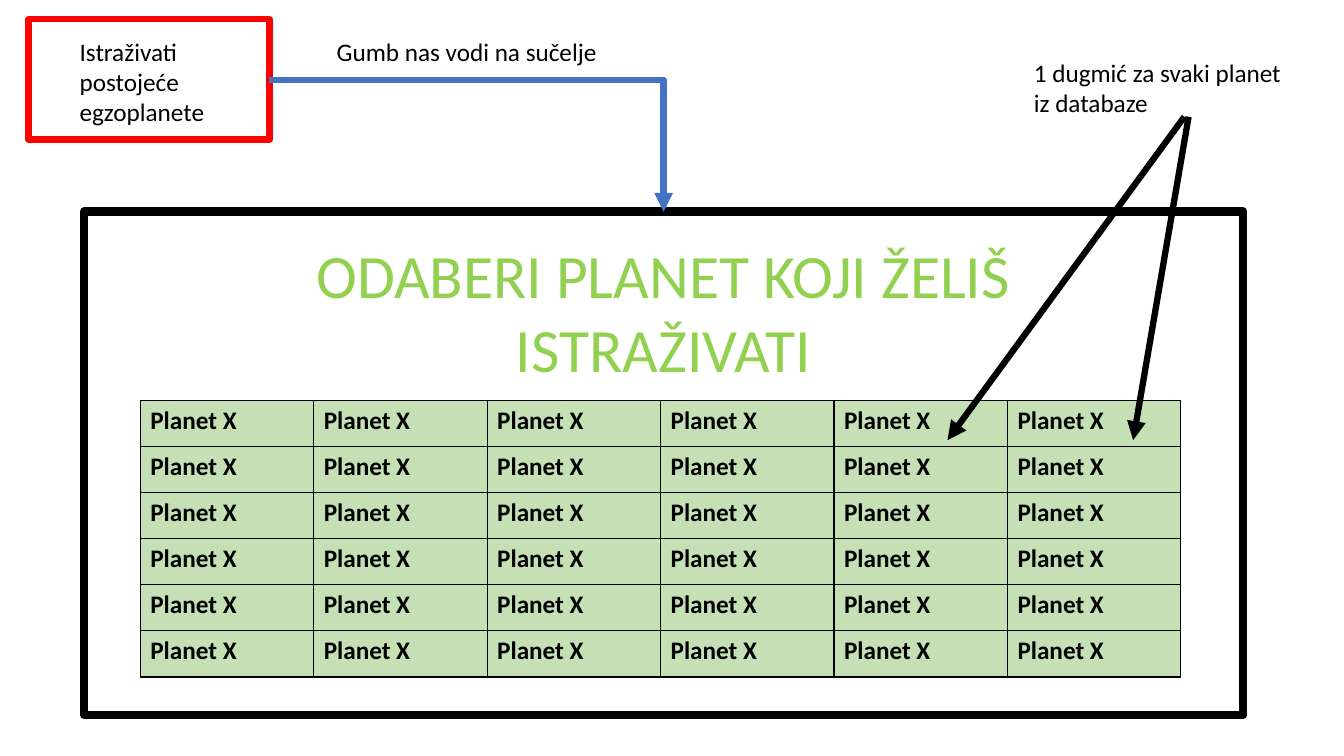
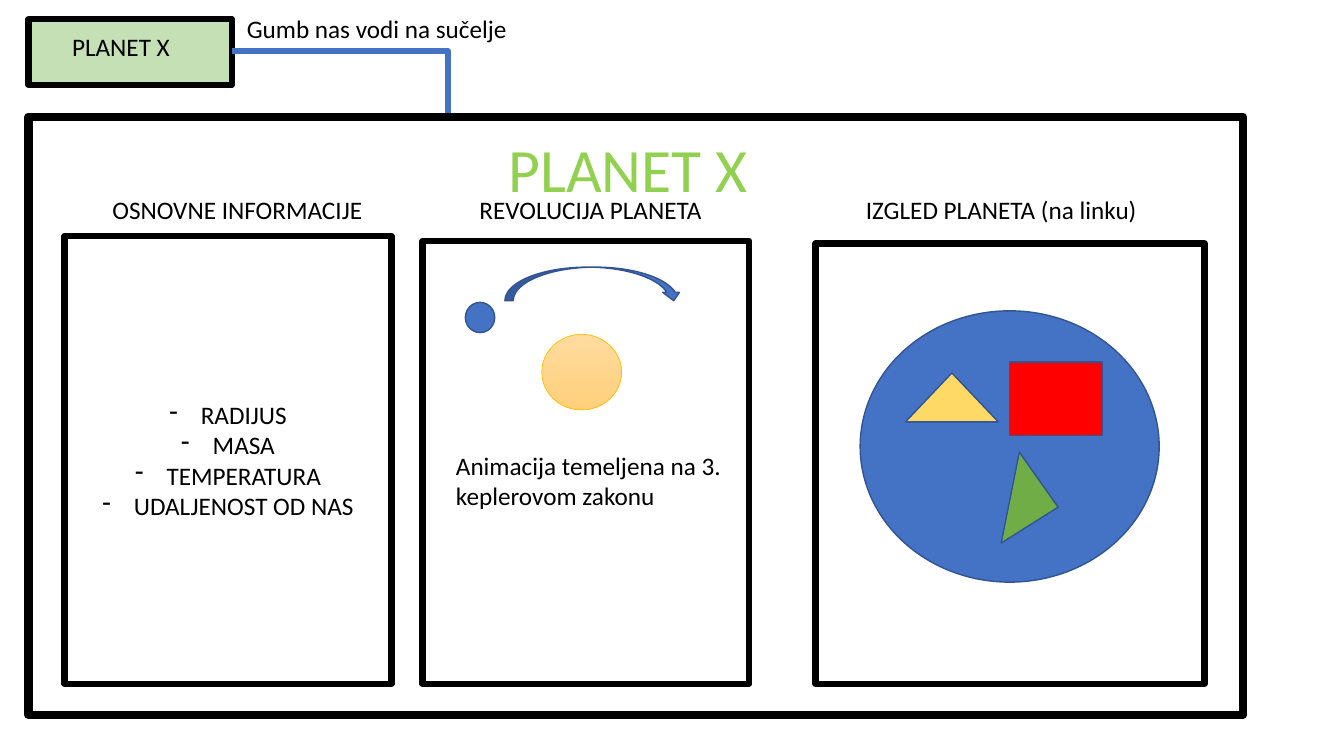
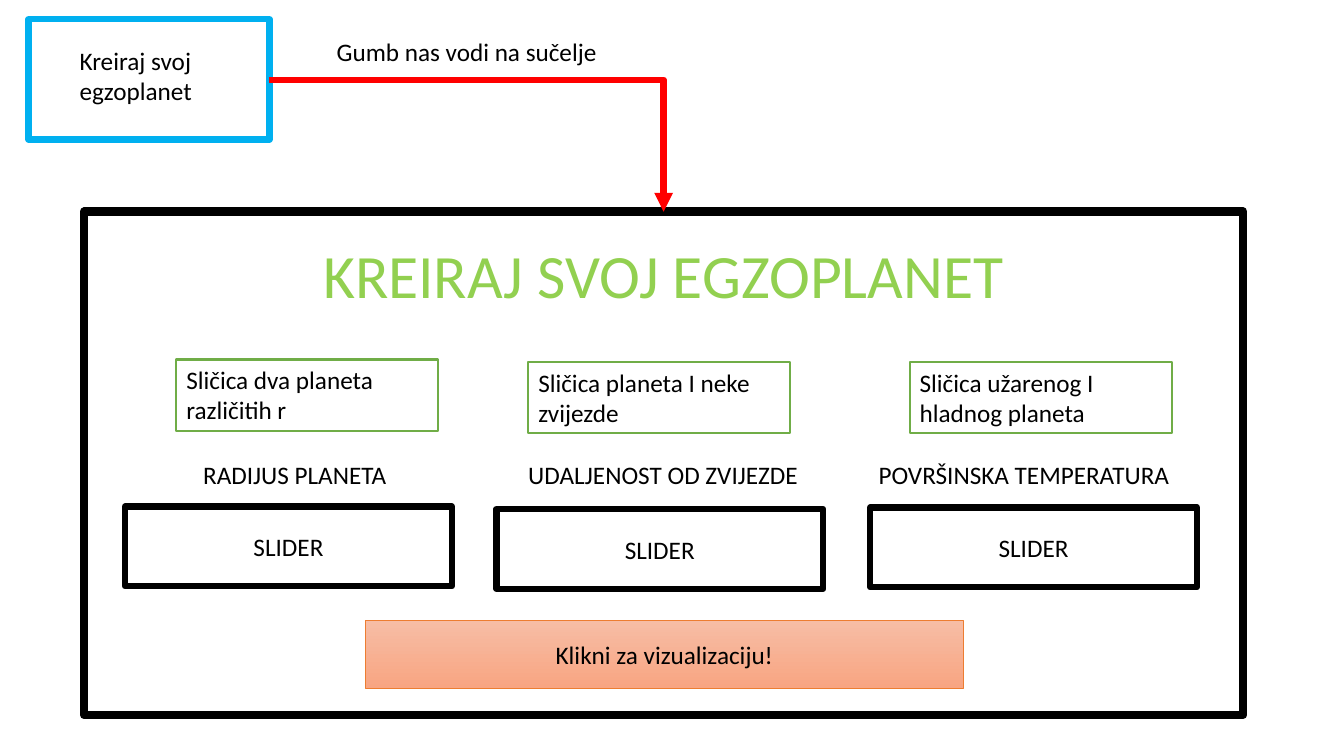
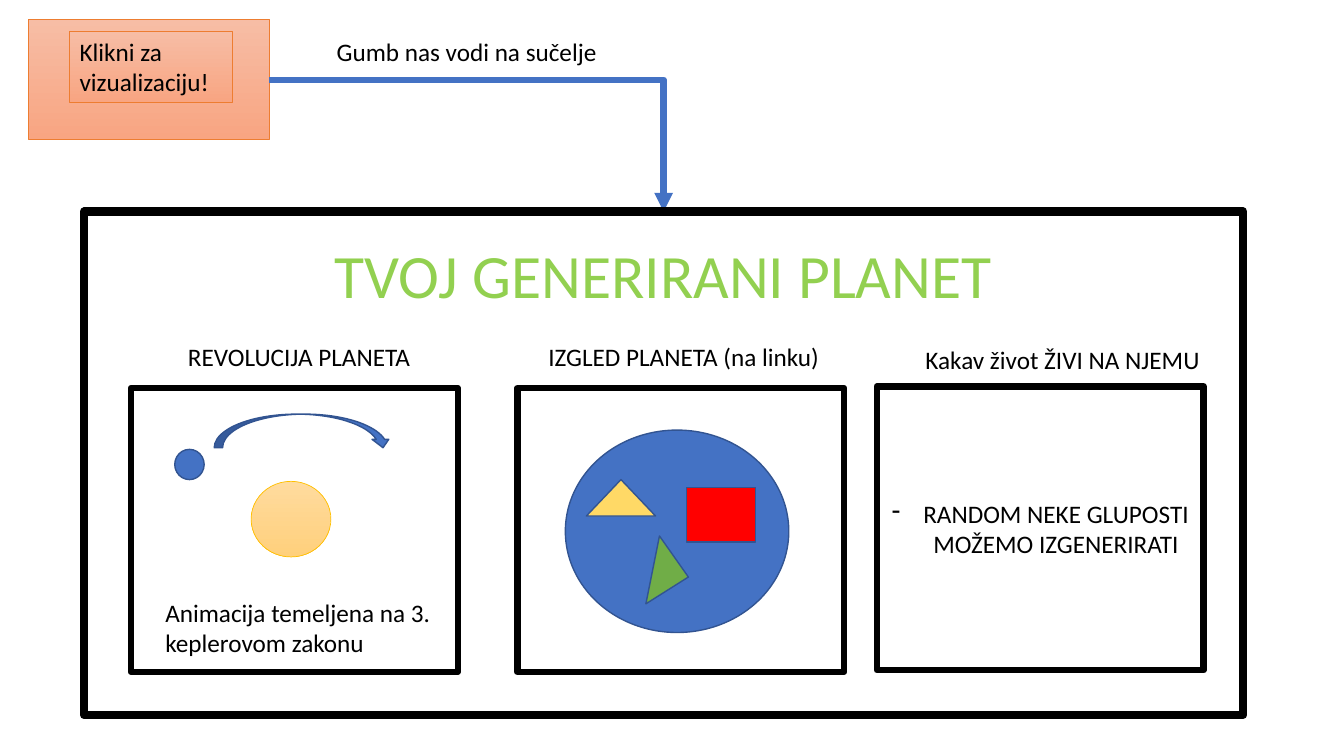
from lxml.etree import SubElement
from pptx import Presentation
from pptx.dml.color import RGBColor
from pptx.enum.shapes import MSO_CONNECTOR, MSO_SHAPE
from pptx.enum.text import MSO_ANCHOR, PP_ALIGN
from pptx.oxml.ns import qn
from pptx.util import Inches, Pt

BLACK, WHITE, RED = "000000", "FFFFFF", "FF0000"
BLUE, NAVY, CYAN = "4472C4", "325491", "00B0F0"
LIME, GREEN, PALE_GREEN = "92D050", "70AD47", "C5E0B4"
YELLOW, GOLD, ORANGE = "FFD966", "FFC000", "ED7D31"
SUNLIGHT = ("FFDB9E", "FFD07C")
PEACH = ("F7BDA5", "F8A582")

COLUMNS, ROWS = 160, 90
PANEL = (10, 25.2, 138, 59.9)
BUTTON = (3.4, 2.3, 28.7, 14.3)
TITLE = (21, 27.6, 116, 10.1)
CAPTION = (38.9, 3.7, 36, 4.8)


def rgb(color):
    return RGBColor.from_string(color)


class Wireframe:
    font, body_size, title_size = "Calibri", 18, 44
    thick, frame, thin = 4.5, 6, 1

    def __init__(self):
        self.deck = Presentation()
        self.deck.slide_width, self.deck.slide_height = Inches(13.33), Inches(7.5)
        self.shapes = None

    def new_slide(self):
        self.shapes = self.deck.slides.add_slide(self.deck.slide_layouts[6]).shapes

    def x(self, columns):
        return round(self.deck.slide_width * columns / COLUMNS)

    def y(self, rows):
        return round(self.deck.slide_height * rows / ROWS)

    def place(self, area):
        left, top, width, height = area
        return self.x(left), self.y(top), self.x(width), self.y(height)

    def set_text(self, frame, lines, centered=False, size=None, color=BLACK,
                 bold=False, dashed=False):
        frame.word_wrap = True
        for index, line in enumerate(lines.split("\n")):
            paragraph = frame.add_paragraph() if index else frame.paragraphs[0]
            paragraph.text = line
            paragraph.alignment = PP_ALIGN.CENTER if centered else PP_ALIGN.LEFT
            if dashed:
                properties = paragraph._p.get_or_add_pPr()
                properties.set("marL", "285750")
                properties.set("indent", "-285750")
                SubElement(properties, qn("a:buChar"), char="-")
            font = paragraph.font
            font.name, font.size, font.bold = self.font, Pt(size or self.body_size), bold
            font.color.rgb = rgb(color)

    def text(self, area, words, **style):
        self.set_text(self.shapes.add_textbox(*self.place(area)).text_frame, words, **style)

    def title(self, words, area=TITLE):
        self.text(area, words, centered=True, size=self.title_size, color=LIME)

    def shape(self, area, fill=WHITE, line=NAVY, width=thin, kind=MSO_SHAPE.RECTANGLE,
              turn=0, words="", anchor=MSO_ANCHOR.MIDDLE, **style):
        shape = self.shapes.add_shape(kind, *self.place(area))
        shape.shadow.inherit = False
        shape.rotation = turn
        if isinstance(fill, tuple):
            shape.fill.gradient()
            shape.fill.gradient_angle = 270
            for stop, color in zip(shape.fill.gradient_stops, fill):
                stop.color.rgb = rgb(color)
        else:
            shape.fill.solid()
            shape.fill.fore_color.rgb = rgb(fill)
        shape.line.color.rgb = rgb(line)
        shape.line.width = Pt(width)
        if words:
            shape.text_frame.vertical_anchor = anchor
            self.set_text(shape.text_frame, words, **style)

    def box(self, area, words="", **style):
        self.shape(area, line=BLACK, width=self.thick, words=words, centered=True, **style)

    def panel(self, area=PANEL):
        self.shape(area, line=BLACK, width=self.frame)

    def arrow(self, start, end, color=BLACK, kind=MSO_CONNECTOR.STRAIGHT, preset=None):
        arrow = self.shapes.add_connector(
            kind, self.x(start[0]), self.y(start[1]), self.x(end[0]), self.y(end[1]))
        arrow.line.color.rgb = rgb(color)
        arrow.line.width = Pt(self.thick)
        SubElement(arrow.line._get_or_add_ln(), qn("a:tailEnd"), type="triangle")
        properties = arrow._element.spPr
        SubElement(properties, qn("a:effectLst"))
        if preset:
            properties.find(qn("a:prstGeom")).set("prst", preset)

    def lead(self, color=BLUE):
        self.arrow((32, 9.5), (79, 25.2), color, MSO_CONNECTOR.ELBOW, "bentConnector2")
        self.caption()

    def caption(self, area=CAPTION):
        self.text(area, "Gumb nas vodi na sučelje")

    def table(self, area, rows, columns, words):
        table = self.shapes.add_table(rows, columns, *self.place(area)).table
        table.first_row = table.horz_banding = False
        for cell in table.iter_cells():
            for side in ("a:lnL", "a:lnR", "a:lnT", "a:lnB"):
                border = SubElement(cell._tc.get_or_add_tcPr(), qn(side), w=str(Pt(self.thin)))
                SubElement(SubElement(border, qn("a:solidFill")), qn("a:srgbClr"), val=BLACK)
            cell.fill.solid()
            cell.fill.fore_color.rgb = rgb(PALE_GREEN)
            self.set_text(cell.text_frame, words, bold=True)

    def orbit(self, left, top):
        self.shape((left + 9.1, top + 3.8, 9.5, 9), SUNLIGHT, GOLD, 0.5, MSO_SHAPE.OVAL)
        self.shape((left, top, 3.5, 3.6), BLUE, kind=MSO_SHAPE.OVAL)
        self.shape((left + 4.7, top - 4.2, 21.1, 4), BLUE, kind=MSO_SHAPE.CURVED_DOWN_ARROW)
        self.text((left - 2.3, top + 17, 37.2, 8.5),
                  "Animacija temeljena na 3. keplerovom zakonu")

    def globe(self, area, yellow, green, red):
        width, height = area[2:]
        wedge = (width * 0.31, height * 0.18)
        self.shape(area, BLUE, kind=MSO_SHAPE.OVAL)
        self.shape((*yellow, *wedge), YELLOW, kind=MSO_SHAPE.ISOSCELES_TRIANGLE)
        self.shape((*green, *wedge), GREEN, kind=MSO_SHAPE.ISOSCELES_TRIANGLE, turn=101.3)
        self.shape((*red, width * 0.31, height * 0.27), RED)


def planet_choice(page):
    page.new_slide()
    page.panel()
    page.shape(BUTTON, line=RED, width=page.thick)
    page.text((8.3, 3.7, 19.4, 12.1), "Istraživati postojeće egzoplanete")
    page.lead()
    page.title("ODABERI PLANET KOJI ŽELIŠ ISTRAŽIVATI")
    page.table((16.7, 47.7, 123.9, 32.9), 6, 6, "Planet X")
    page.arrow((141, 13.9), (112.8, 52.4))
    page.arrow((141.5, 13.9), (134.9, 52.4))
    page.text((121.9, 6.2, 32.4, 8.5), "1 dugmić za svaki planet iz databaze")


def planet_details(page):
    page.new_slide()
    page.box((3.4, 2.3, 24.2, 7.8), fill=PALE_GREEN)
    page.text((7.4, 3.1, 16.4, 2.6), "PLANET X")
    page.arrow((27.6, 6.1), (79, 25.2), BLUE, MSO_CONNECTOR.ELBOW)
    page.caption((28.2, 1, 36, 4.8))
    page.panel((3.4, 13.9, 144.6, 71.2))
    page.title("PLANET X", (16.8, 15, 116, 10.1))
    page.box((7.7, 28.1, 38.9, 53.3),
             "RADIJUS\nMASA\nTEMPERATURA\nUDALJENOST OD NAS", dashed=True)
    page.box((50.3, 28.7, 38.9, 52.7))
    page.box((97.1, 29, 46.3, 52.4))
    for left, width, heading, centered in (
            (12.2, 37.2, "OSNOVNE INFORMACIJE", False),
            (50.3, 40, "REVOLUCIJA PLANETA", True),
            (100.1, 38.2, "IZGLED PLANETA (na linku)", True)):
        page.text((left, 22.6, width, 4.8), heading, centered=centered)
    page.orbit(55.4, 36)
    page.globe((102.4, 37, 35.6, 32.3), (107.8, 44.4), (117.6, 56.9), (120.2, 43.1))


def planet_creation(page):
    page.new_slide()
    page.panel()
    page.shape(BUTTON, line=CYAN, width=page.thick)
    page.text((8.3, 4.8, 19.4, 8.5), "Kreiraj svoj egzoplanet")
    page.lead(RED)
    page.title("KREIRAJ SVOJ EGZOPLANET")
    for sketch, sketch_at, heading, heading_left, centered, slider_at in (
            ("Sličica dva planeta različitih r", (21, 42.8),
             "RADIJUS PLANETA", 23, False, (14.9, 60.3)),
            ("Sličica planeta I neke zvijezde", (62.9, 43.1),
             "UDALJENOST OD ZVIJEZDE", 61.7, False, (59.1, 60.6)),
            ("Sličica užarenog I hladnog planeta", (108.3, 43.1),
             "POVRŠINSKA TEMPERATURA", 102.9, True, (103.6, 60.4))):
        page.shape((*sketch_at, 31.2, 8.5), line=GREEN, width=1.5, words=sketch,
                   anchor=MSO_ANCHOR.TOP)
        page.text((heading_left, 54.1, 38, 4.8), heading, centered=centered)
        page.box((*slider_at, 38.9, 9.5), "SLIDER")
    page.shape((43.5, 73.9, 71.2, 8), PEACH, ORANGE, 0.5,
               words="Klikni za vizualizaciju!", centered=True)


def generated_planet(page):
    page.new_slide()
    page.shape(BUTTON, PEACH, ORANGE, 0.5)
    page.shape((8.3, 3.7, 19.4, 8.5), PEACH, ORANGE, 0.5,
               words="Klikni za vizualizaciju!", anchor=MSO_ANCHOR.TOP)
    page.lead()
    page.panel()
    page.title("TVOJ GENERIRANI PLANET")
    for left in (15.6, 61.6):
        page.box((left, 46.2, 38.9, 33.8))
    page.text((15.6, 40.1, 40, 4.8), "REVOLUCIJA PLANETA", centered=True)
    page.text((62.3, 40.1, 38.2, 4.8), "IZGLED PLANETA (na linku)", centered=True)
    page.orbit(20.8, 53.5)
    page.globe((67.3, 51.2, 26.6, 24.1), (69.8, 57.1), (75.7, 66.1), (81.7, 58))
    page.box((104.4, 46, 38.9, 33.8), "RANDOM NEKE GLUPOSTI MOŽEMO IZGENERIRATI",
             dashed=True)
    page.text((109, 40.4, 37.2, 4.8), "Kakav život ŽIVI NA NJEMU")


def main():
    page = Wireframe()
    for build in (planet_choice, planet_details, planet_creation, generated_planet):
        build(page)
    page.deck.save("out.pptx")


if __name__ == "__main__":
    main()
